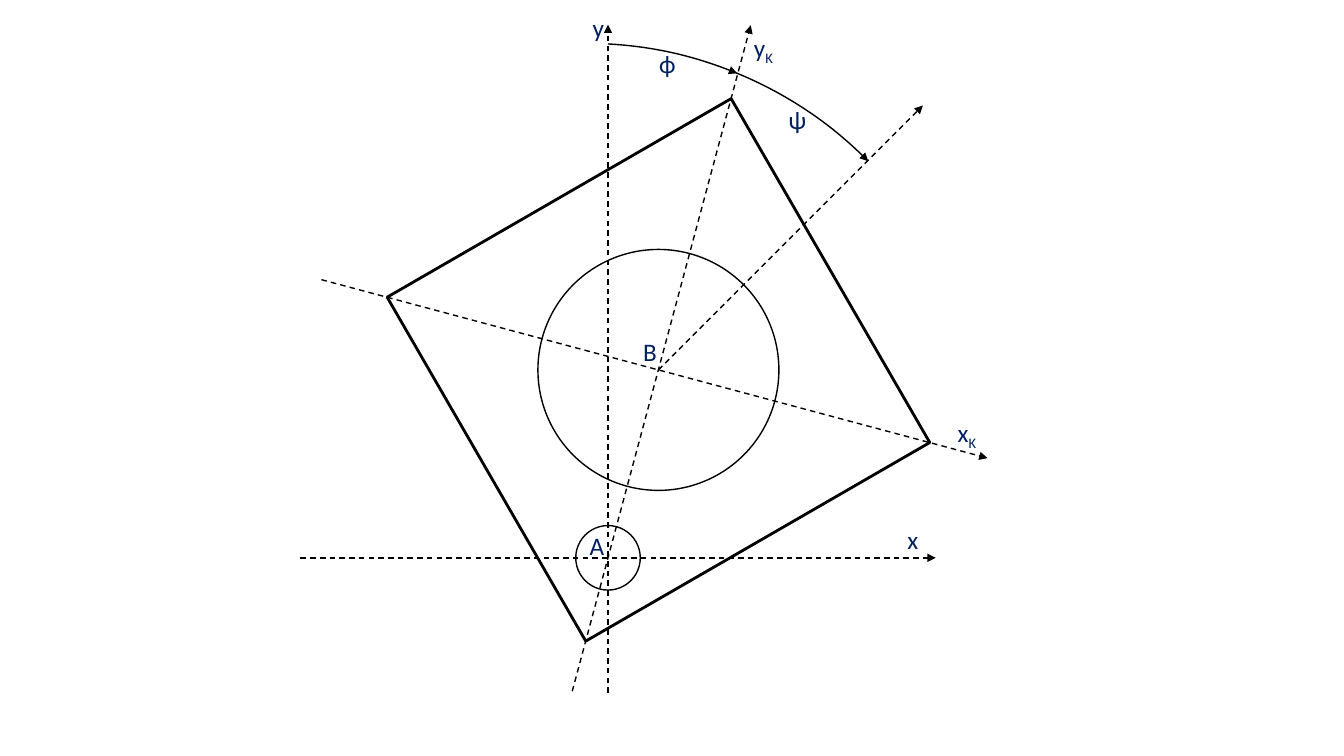
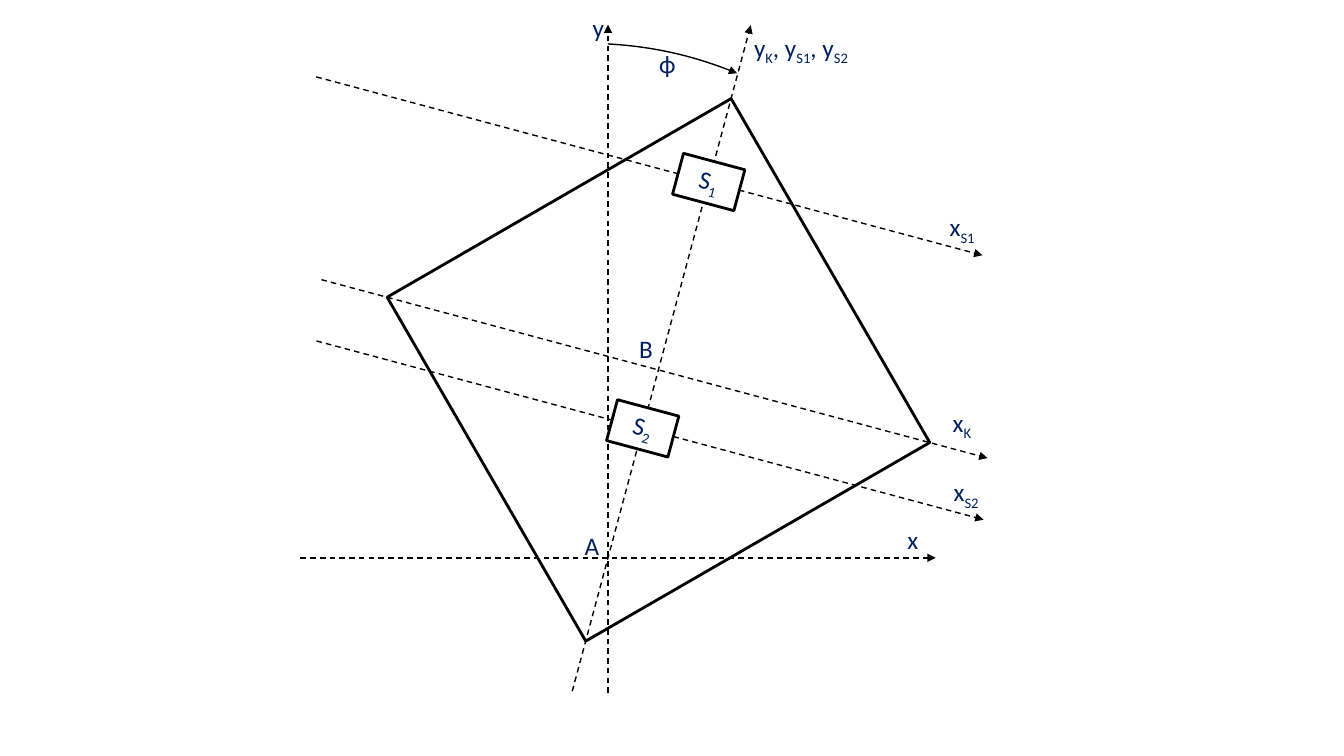
from dataclasses import dataclass
from math import cos, radians, sin

from pptx import Presentation
from pptx.dml.color import RGBColor
from pptx.enum.dml import MSO_LINE
from pptx.enum.shapes import MSO_CONNECTOR, MSO_SHAPE
from pptx.enum.text import MSO_ANCHOR, MSO_AUTO_SIZE, PP_ALIGN
from pptx.oxml.ns import qn
from pptx.util import Inches, Pt
from lxml.etree import SubElement

BLACK = RGBColor(0x00, 0x00, 0x00)
WHITE = RGBColor(0xFF, 0xFF, 0xFF)
NAVY = RGBColor(0x00, 0x20, 0x60)
FONT = "Calibri"
WIDTH, HEIGHT = 13.33, 7.5
ROWS = 7.5
TILT = 15
ARM = 1.93
S2_OFFSET = -0.6
LABEL_ROWS = 0.4


@dataclass
class Box:
    """Region of a slide, measured in square grid cells."""
    left: float
    top: float
    width: float
    height: float

    @property
    def cell(self):
        """Return the side of one grid cell in inches."""
        return self.height / ROWS

    def size(self, n):
        """Convert cells to a length."""
        return Inches(n * self.cell)

    def place(self, col, row):
        """Convert a column and row to a slide position."""
        return (Inches(self.left + col * self.cell),
                Inches(self.top + row * self.cell))


@dataclass
class Frame:
    """Coordinate frame turned clockwise about its origin."""
    col: float
    row: float
    tilt: float = 0

    def at(self, x, y):
        """Return the column and row of a point in this frame."""
        a = radians(self.tilt)
        return (self.col + x * cos(a) + y * sin(a),
                self.row + x * sin(a) - y * cos(a))


BODY = Frame(6.53, 3.67, TILT)
FIXED = Frame(*BODY.at(0, -ARM))
RAY = Frame(BODY.col, BODY.row, 45)
ARC_CENTRE, ARC_RADIUS = (5.81, 4.37), 3.94


def add_arrowhead(shape):
    """Put a triangle at the end of a line."""
    ln = shape._element.spPr.find(qn("a:ln"))
    SubElement(ln, qn("a:tailEnd")).set("type", "triangle")


def add_axis(s, box, frame, start, end):
    """Draw a dashed arrow between two points of a frame."""
    c = s.shapes.add_connector(MSO_CONNECTOR.STRAIGHT,
                               *box.place(*frame.at(*start)),
                               *box.place(*frame.at(*end)))
    c.line.color.rgb = BLACK
    c.line.width = Pt(1)
    c.line.dash_style = MSO_LINE.DASH
    add_arrowhead(c)
    SubElement(c._element.spPr, qn("a:effectLst"))


def add_outline(s, box, kind, centre, width, height, weight=1, turn=0):
    """Draw a white shape with a black outline about its centre."""
    col, row = centre
    sp = s.shapes.add_shape(kind, *box.place(col - width / 2, row - height / 2),
                            box.size(width), box.size(height))
    sp.shadow.inherit = False
    sp.fill.solid()
    sp.fill.fore_color.rgb = WHITE
    sp.line.color.rgb = BLACK
    sp.line.width = Pt(weight)
    sp.rotation = turn
    return sp


def add_angle(s, box, start, end):
    """Draw an arc with an arrowhead between two angles in degrees."""
    sp = add_outline(s, box, MSO_SHAPE.ARC, ARC_CENTRE,
                     2 * ARC_RADIUS, 2 * ARC_RADIUS)
    sp.fill.background()
    for i, angle in enumerate((start, end)):
        sp.adjustments[i] = angle * 0.6
    add_arrowhead(sp)


def write(p, parts):
    """Add runs that alternate between base line and subscript."""
    for i, text in enumerate(parts):
        r = p.add_run()
        r.text = text
        r.font.name = FONT
        r.font.size = Pt(18)
        r.font.color.rgb = NAVY
        if i % 2:
            r.font._element.set("baseline", "-25000")


def add_label(s, box, col, row, width, *parts):
    """Write a label on one line."""
    sp = s.shapes.add_textbox(*box.place(col, row),
                              box.size(width), box.size(LABEL_ROWS))
    tf = sp.text_frame
    tf.word_wrap = False
    tf.auto_size = MSO_AUTO_SIZE.SHAPE_TO_FIT_TEXT
    write(tf.paragraphs[0], parts)


def add_sensor(s, box, offset, index):
    """Draw a named sensor on the tilted vertical axis."""
    sp = add_outline(s, box, MSO_SHAPE.RECTANGLE, BODY.at(0, offset),
                     0.63, 0.42, 2, TILT)
    tf = sp.text_frame
    tf.word_wrap = True
    tf.vertical_anchor = MSO_ANCHOR.MIDDLE
    p = tf.paragraphs[0]
    p.alignment = PP_ALIGN.CENTER
    write(p, ("S", index))


def add_body(s, box):
    """Draw the square body."""
    add_outline(s, box, MSO_SHAPE.RECTANGLE, (BODY.col, BODY.row),
                3.94, 3.94, 2, 60)


def add_frames(s, box):
    """Draw the fixed and body axes with the labels both slides share."""
    add_axis(s, box, BODY, (-3.46, 0), (3.38, 0))
    add_axis(s, box, FIXED, (0, -1.34), (0, 5.29))
    add_axis(s, box, BODY, (0, -3.3), (0, 3.54))
    add_axis(s, box, FIXED, (-3.05, 0), (3.25, 0))
    add_angle(s, box, 273.2, 292.4)
    add_label(s, box, 5.78, 0.07, 0.32, "y")
    add_label(s, box, 8.9, 5.15, 0.31, "x")
    add_label(s, box, 6.44, 0.43, 0.37, "ϕ")


def circles_diagram(s, box):
    """Show the body with circles at A and B and the angle to a ray."""
    add_body(s, box)
    for frame, size in ((BODY, 2.39), (FIXED, 0.64)):
        add_outline(s, box, MSO_SHAPE.OVAL, (frame.col, frame.row), size, size)
    add_frames(s, box)
    add_axis(s, box, RAY, (0, 0), (0, 3.71))
    add_angle(s, box, 292.1, 315.31)
    for label in ((5.75, 5.21, 0.35, "A"), (6.28, 3.29, 0.35, "B"),
                  (7.38, 0.27, 0.4, "y", "K"), (9.4, 4.09, 0.4, "x", "K"),
                  (7.72, 0.99, 0.38, "ψ")):
        add_label(s, box, *label)


def sensors_diagram(s, box):
    """Show the body with two sensors and their axes."""
    add_body(s, box)
    add_frames(s, box)
    for offset, start, end, index in ((ARM, -4.03, 2.81, "1"),
                                      (S2_OFFSET, -3.35, 3.5, "2")):
        add_axis(s, box, BODY, (start, offset), (end, offset))
        add_sensor(s, box, offset, index)
    for label in ((5.7, 5.21, 0.35, "A"), (6.24, 3.26, 0.34, "B"),
                  (7.38, 0.27, 1.22, "y", "K", ", y", "S1", ", y", "S2"),
                  (9.35, 3.99, 0.4, "x", "K"),
                  (9.32, 2.05, 0.47, "x", "S1"),
                  (9.36, 4.68, 0.47, "x", "S2")):
        add_label(s, box, *label)


def main():
    """Build and save the presentation."""
    prs = Presentation()
    prs.slide_width, prs.slide_height = Inches(WIDTH), Inches(HEIGHT)
    for draw in (circles_diagram, sensors_diagram):
        s = prs.slides.add_slide(prs.slide_layouts[6])
        draw(s, Box(0, 0, WIDTH, HEIGHT))
    prs.save("out.pptx")


main()
